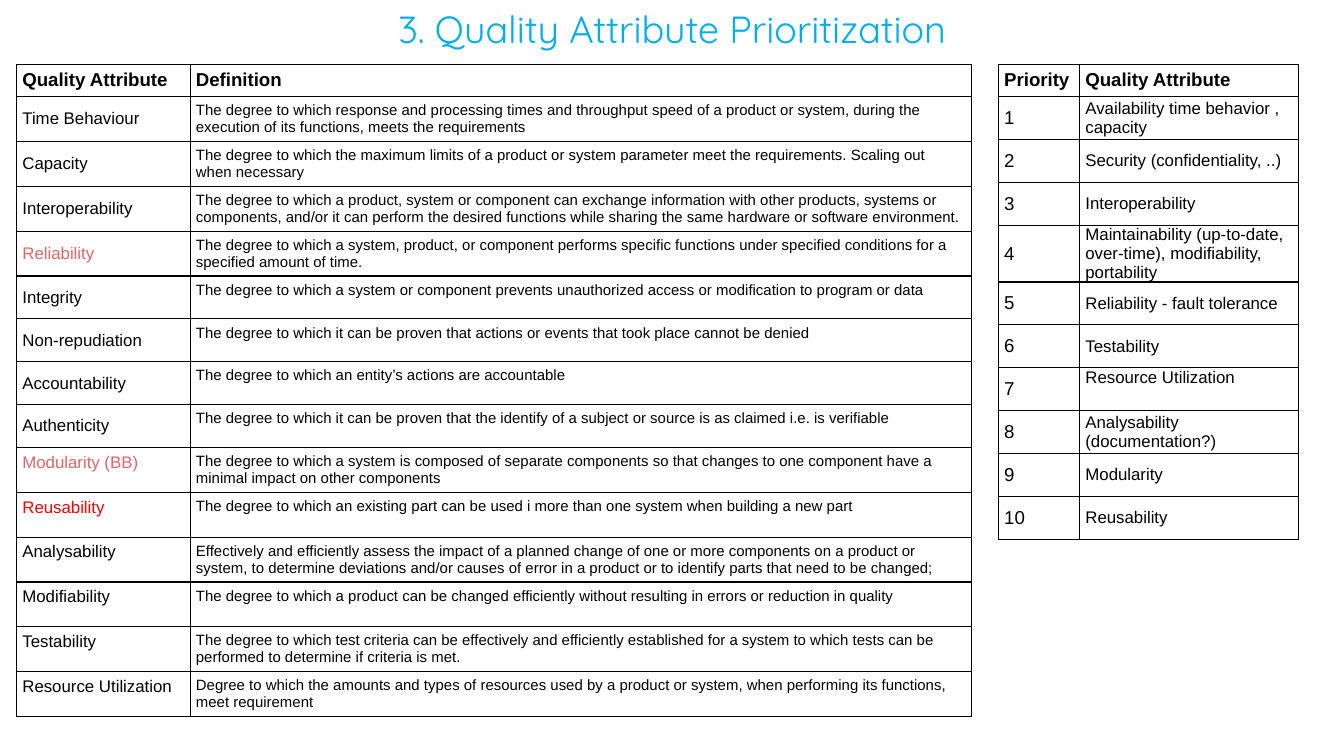
from pptx import Presentation
from pptx.dml.color import RGBColor
from pptx.enum.text import MSO_ANCHOR, MSO_AUTO_SIZE, PP_ALIGN
from pptx.oxml import parse_xml
from pptx.oxml.ns import nsdecls
from pptx.util import Pt

TOP = MSO_ANCHOR.TOP
MIDDLE = MSO_ANCHOR.MIDDLE
CENTER = PP_ALIGN.CENTER
NO_FIT = MSO_AUTO_SIZE.NONE
TITLE_ONLY = 5

BLACK = "000000"
ROSE = "E06666"
RED = "FF0000"
BORDER_WIDTH = Pt(0.75)


def style_text(para, font, size, color, bold=False):
    for span in para.runs:
        span.font.name = font
        span.font.size = Pt(size)
        span.font.bold = bold
        span.font.color.rgb = RGBColor.from_string(color)


def add_grid(page, left, top, widths, heights, rows, vertical_margin):
    frame = page.shapes.add_table(
        len(rows), len(widths), Pt(left), Pt(top), Pt(sum(widths)), Pt(sum(heights))
    )
    table = frame.table
    table.first_row = False
    table.horz_banding = False
    for column, width in zip(table.columns, widths):
        column.width = Pt(width)
    for row, height, texts in zip(table.rows, heights, rows):
        row.height = Pt(height)
        for cell, text in zip(row.cells, texts):
            cell.text = text
            cell.margin_left = cell.margin_right = Pt(3)
            cell.margin_top = cell.margin_bottom = Pt(vertical_margin)
            properties = cell._tc.get_or_add_tcPr()
            for side in ("lnL", "lnR", "lnT", "lnB"):
                properties.append(parse_xml(
                    f'<a:{side} {nsdecls("a")} w="{BORDER_WIDTH}"><a:solidFill>'
                    f'<a:srgbClr val="{BLACK}"/></a:solidFill></a:{side}>'
                ))
            cell.fill.background()
    return table


definitions = [
    ("Quality Attribute", "Definition"),
    ("Time Behaviour", "The degree to which response and processing times and throughput speed of a product or system, during the execution of its functions, meets the requirements"),
    ("Capacity", "The degree to which the maximum limits of a product or system parameter meet the requirements. Scaling out when necessary"),
    ("Interoperability", "The degree to which a product, system or component can exchange information with other products, systems or components, and/or it can perform the desired functions while sharing the same hardware or software environment."),
    ("Reliability", "The degree to which a system, product, or component performs specific functions under specified conditions for a specified amount of time."),
    ("Integrity", "The degree to which a system or component prevents unauthorized access or modification to program or data"),
    ("Non-repudiation", "The degree to which it can be proven that actions or events that took place cannot be denied"),
    ("Accountability", "The degree to which an entity’s actions are accountable"),
    ("Authenticity", "The degree to which it can be proven that the identify of a subject or source is as claimed i.e. is verifiable"),
    ("Modularity (BB)", "The degree to which a system is composed of separate components so that changes to one component have a minimal impact on other components"),
    ("Reusability", "The degree to which an existing part can be used i more than one system when building a new part"),
    ("Analysability", "Effectively and efficiently assess the impact of a planned change of one or more components on a product or system, to determine deviations and/or causes of error in a product or to identify parts that need to be changed;"),
    ("Modifiability", "The degree to which a product can be changed efficiently without resulting in errors or reduction in quality"),
    ("Testability", "The degree to which test criteria can be effectively and efficiently established for a system to which tests can be performed to determine if criteria is met."),
    ("Resource Utilization", "Degree to which the amounts and types of resources used by a product or system, when performing its functions, meet requirement"),
]
attribute_colors = {"Reliability": ROSE, "Modularity (BB)": ROSE, "Reusability": RED}

ranked_attributes = [
    "Availability time behavior , capacity",
    "Security (confidentiality, ..)",
    "Interoperability",
    "Maintainability (up-to-date, over-time), modifiability, portability",
    "Reliability - fault tolerance",
    "Testability",
    "Resource Utilization",
    "Analysability (documentation?)",
    "Modularity",
    "Reusability",
]
priorities = [("Priority", "Quality Attribute")]
priorities += [(str(rank), name) for rank, name in enumerate(ranked_attributes, 1)]

deck = Presentation()
deck.slide_width = Pt(720)
deck.slide_height = Pt(405)
page = deck.slides.add_slide(deck.slide_layouts[TITLE_ONLY])

title = page.shapes.title
title.left, title.top, title.width, title.height = Pt(24.5), Pt(-0.7), Pt(671), Pt(35)
box = title.text_frame
box.text = "3. Quality Attribute Prioritization"
box.auto_size = NO_FIT
box.vertical_anchor = MIDDLE
box.margin_left = box.margin_right = Pt(5)
box.margin_top = box.margin_bottom = Pt(3)
para = box.paragraphs[0]
para.alignment = CENTER
para.line_spacing = 0.9
style_text(para, "Quicksand", 20.2, "01ADEE")

definition_heights = [17.3] + [23] * 8 + [24] * 6
definition_table = add_grid(
    page, 9, 34.5, [93, 418.5], definition_heights, definitions, 3
)
for index, row in enumerate(definition_table.rows):
    header = index == 0
    attribute, definition = row.cells
    attribute.vertical_anchor = MIDDLE if 1 <= index <= 8 else TOP
    definition.vertical_anchor = TOP
    color = attribute_colors.get(attribute.text, BLACK)
    style_text(attribute.text_frame.paragraphs[0], "Arial", 10 if header else 9, color, header)
    style_text(definition.text_frame.paragraphs[0], "Arial", 10 if header else 8, BLACK, header)

priority_table = add_grid(
    page, 535, 34.5, [43.5, 117], [17.3] + [23] * 10, priorities, 0
)
for index, row in enumerate(priority_table.rows):
    header = index == 0
    rank, attribute = row.cells
    rank.vertical_anchor = MIDDLE
    attribute.vertical_anchor = TOP if rank.text == "7" else MIDDLE
    style_text(rank.text_frame.paragraphs[0], "Arial", 10, BLACK, header)
    style_text(attribute.text_frame.paragraphs[0], "Arial", 10 if header else 9, BLACK, header)

deck.save("out.pptx")
